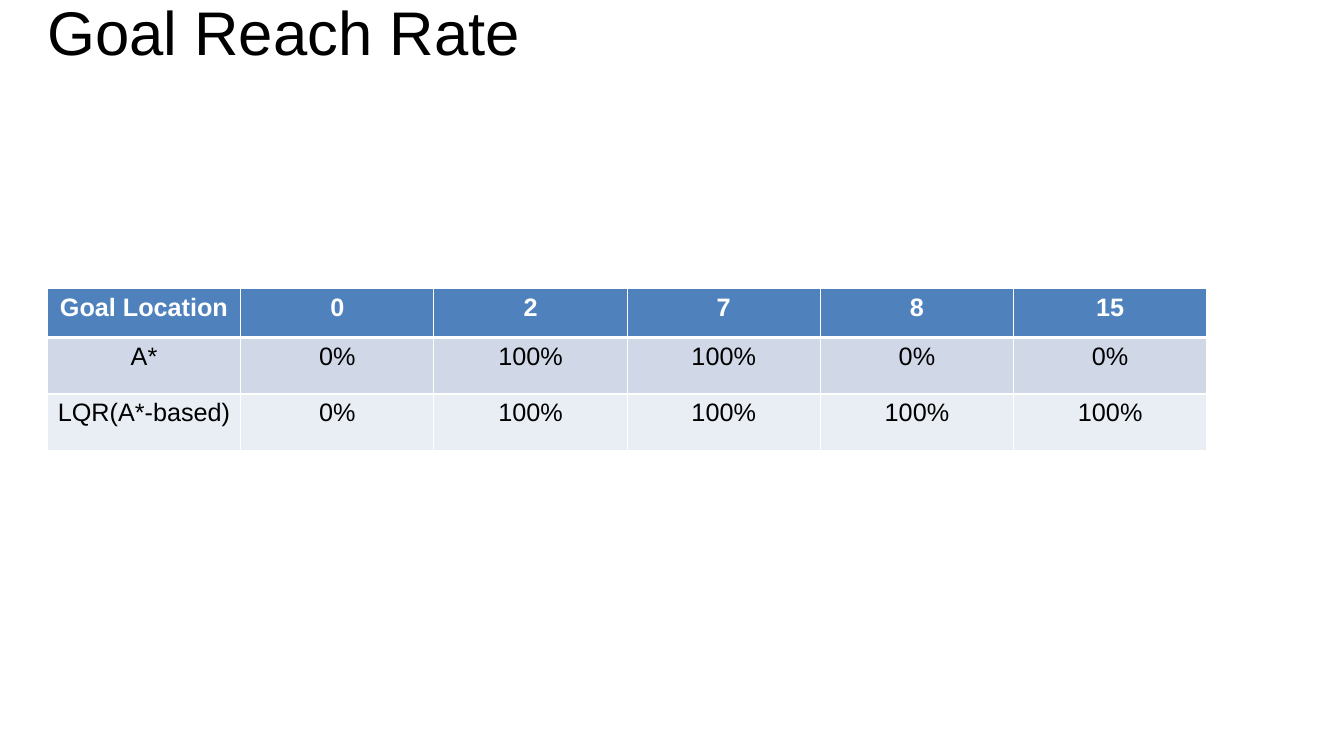
import dataclasses

import lxml.etree
import pptx
import pptx.dml.color
import pptx.enum.text
import pptx.oxml.ns
import pptx.util

SLIDE_W, SLIDE_H = 13.33, 7.5
LEFT, WIDTH = 0.47, 11.5
TABLE_TOP = 2.86
FONT = "Arial"
WHITE, BLACK = "FFFFFF", "000000"
THIN, THICK = 1, 3


@dataclasses.dataclass
class Row:
    values: list[str]
    height: float
    fill: str
    color: str = BLACK
    bold: bool = False
    top: int = THIN
    bottom: int = THIN


ROWS = [
    Row(["Goal Location", "0", "2", "7", "8", "15"], 0.49, "4F81BD", WHITE, True, bottom=THICK),
    Row(["A*", "0%", "100%", "100%", "0%", "0%"], 0.56, "D0D8E8", top=THICK),
    Row(["LQR(A*-based)", "0%", "100%", "100%", "100%", "100%"], 0.56, "E9EDF4"),
]


def rgb(color: str) -> pptx.dml.color.RGBColor:
    return pptx.dml.color.RGBColor.from_string(color)


def set_font(p, size: int, color: str, bold: bool = False) -> None:
    p.font.name = FONT
    p.font.size = pptx.util.Pt(size)
    p.font.bold = bold
    p.font.color.rgb = rgb(color)


def add_border(cell, side: str, points: int) -> None:
    qn = pptx.oxml.ns.qn
    tc_pr = cell._tc.get_or_add_tcPr()
    ln = lxml.etree.SubElement(tc_pr, qn(f"a:ln{side}"), w=str(pptx.util.Pt(points)))
    fill = lxml.etree.SubElement(ln, qn("a:solidFill"))
    lxml.etree.SubElement(fill, qn("a:srgbClr"), val=WHITE)


def add_title(s, text: str) -> None:
    box = s.shapes.add_textbox(*map(pptx.util.Inches, (LEFT, -0.37, WIDTH, 1.45)))
    tf = box.text_frame
    tf.word_wrap = True
    tf.vertical_anchor = pptx.enum.text.MSO_ANCHOR.MIDDLE
    tf.margin_left = tf.margin_top = tf.margin_right = tf.margin_bottom = 0
    p = tf.paragraphs[0]
    p.text = text
    p.line_spacing = 0.9
    set_font(p, 44, BLACK)


def fill_cell(cell, text: str, row: Row) -> None:
    for side, points in (("L", THIN), ("R", THIN), ("T", row.top), ("B", row.bottom)):
        add_border(cell, side, points)
    cell.fill.solid()
    cell.fill.fore_color.rgb = rgb(row.fill)
    p = cell.text_frame.paragraphs[0]
    p.text = text
    p.alignment = pptx.enum.text.PP_ALIGN.CENTER
    set_font(p, 18, row.color, row.bold)


def add_rate_table(s, rows: list[Row]) -> None:
    columns = len(rows[0].values)
    height = sum(row.height for row in rows)
    area = map(pptx.util.Inches, (LEFT, TABLE_TOP, WIDTH, height))
    table = s.shapes.add_table(len(rows), columns, *area).table
    for i, row in enumerate(rows):
        table.rows[i].height = pptx.util.Inches(row.height)
        for j, text in enumerate(row.values):
            fill_cell(table.cell(i, j), text, row)


def main() -> None:
    prs = pptx.Presentation()
    prs.slide_width = pptx.util.Inches(SLIDE_W)
    prs.slide_height = pptx.util.Inches(SLIDE_H)
    s = prs.slides.add_slide(prs.slide_layouts[6])
    add_title(s, "Goal Reach Rate")
    add_rate_table(s, ROWS)
    prs.save("out.pptx")


if __name__ == "__main__":
    main()
